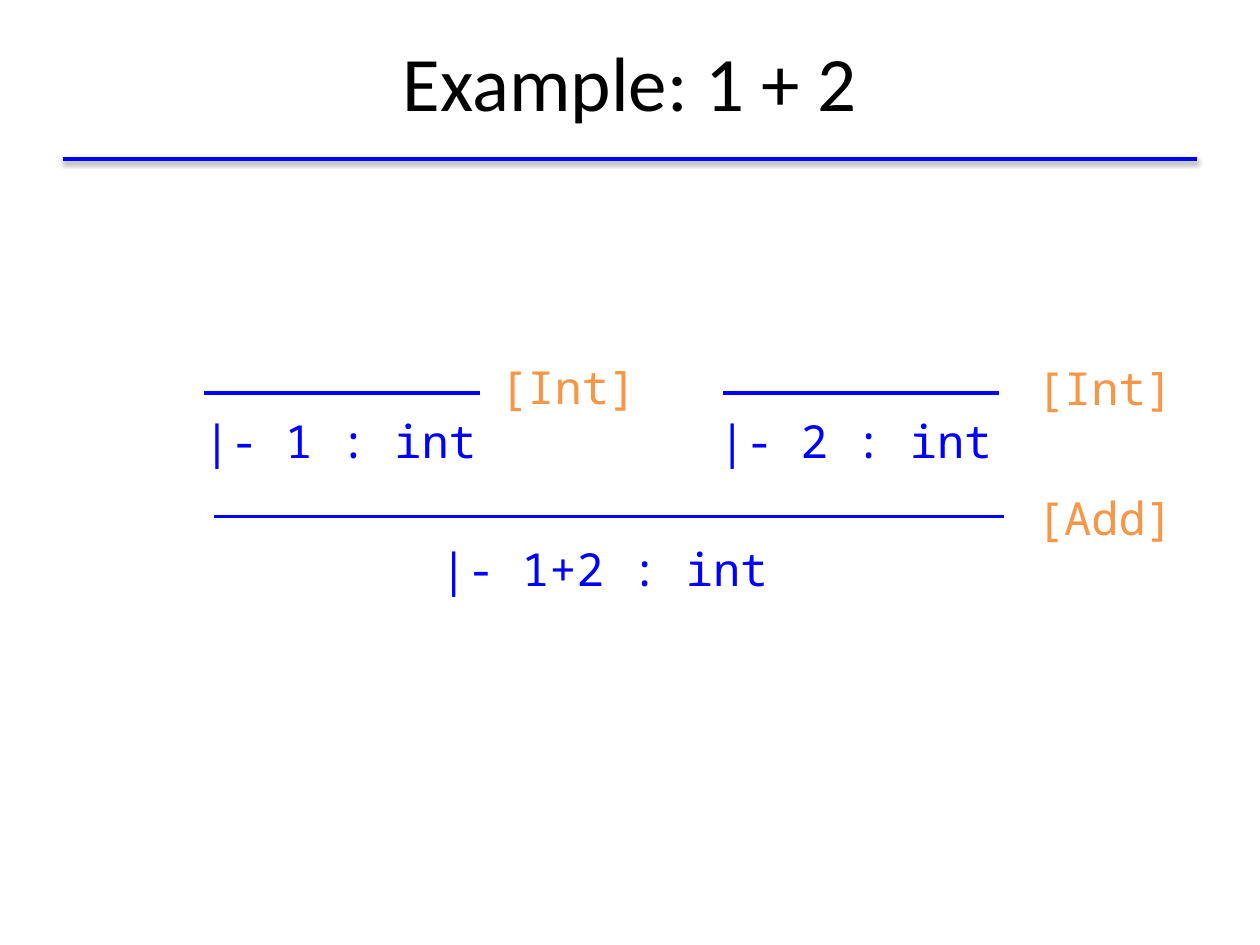
from dataclasses import dataclass

from lxml.etree import SubElement
from pptx import Presentation
from pptx.dml.color import RGBColor
from pptx.enum.shapes import MSO_CONNECTOR as Connector
from pptx.enum.text import MSO_ANCHOR as Anchor, MSO_AUTO_SIZE as AutoSize, PP_ALIGN as Align
from pptx.oxml.ns import qn
from pptx.util import Cm, Pt


@dataclass(frozen=True)
class Theme:
    title_color: str = "000000"
    judgement_color: str = "0000FF"
    rule_color: str = "F79646"
    title_font: str = "Calibri"
    code_font: str = "Noto Sans Mono"
    title_size: int = 44
    code_size: int = 26
    line_width: int = 2
    space_before: int = 6


class ProofSlide:
    def __init__(self, deck, theme):
        self.theme = theme
        self.slide = deck.slides.add_slide(deck.slide_layouts[5])

    def set_text(self, frame, text, font, size, color, align, anchor):
        frame.word_wrap = True
        frame.auto_size = AutoSize.NONE
        frame.vertical_anchor = anchor
        paragraph = frame.paragraphs[0]
        paragraph.alignment = align
        run = paragraph.add_run()
        run.text = text
        run.font.name = font
        run.font.size = Pt(size)
        run.font.color.rgb = RGBColor.from_string(color)
        return paragraph

    def title(self, text, left, top, width, height):
        heading = self.slide.shapes.title
        heading.left, heading.top = Cm(left), Cm(top)
        heading.width, heading.height = Cm(width), Cm(height)
        self.set_text(heading.text_frame, text, self.theme.title_font, self.theme.title_size,
                      self.theme.title_color, Align.CENTER, Anchor.MIDDLE)

    def code(self, text, box, color, align, anchor):
        label = self.slide.shapes.add_textbox(*map(Cm, box))
        paragraph = self.set_text(label.text_frame, text, self.theme.code_font,
                                  self.theme.code_size, color, align, anchor)
        paragraph.space_before = Pt(self.theme.space_before)

    def judgement(self, text, left, top, width, height):
        self.code(text, (left, top, width, height), self.theme.judgement_color,
                  Align.CENTER, Anchor.MIDDLE)

    def rule_name(self, text, left, top, width=3.48, height=1.5):
        self.code(text, (left, top, width, height), self.theme.rule_color,
                  Align.LEFT, Anchor.TOP)

    def bar(self, left, right, y, shadow=False):
        bar = self.slide.shapes.add_connector(Connector.STRAIGHT, Cm(left), Cm(y), Cm(right), Cm(y))
        bar.line.color.rgb = RGBColor.from_string(self.theme.judgement_color)
        bar.line.width = Pt(self.theme.line_width)
        effects = SubElement(bar._element.spPr, qn("a:effectLst"))
        if shadow:
            outer = SubElement(effects, qn("a:outerShdw"), blurRad=str(Pt(3.1)),
                               dist=str(Pt(1.6)), dir="5400000", rotWithShape="0")
            tint = SubElement(outer, qn("a:srgbClr"), val=self.theme.title_color)
            SubElement(tint, qn("a:alpha"), val="38000")


def main():
    deck = Presentation()
    deck.slide_width, deck.slide_height = Cm(25.4), Cm(19.05)
    proof = ProofSlide(deck, Theme())

    proof.bar(1.27, 24.13, 3.2, shadow=True)
    proof.title("Example: 1 + 2", 1.27, 0.03, 22.86, 3.18)

    premises = [("1", 3.45, 4.11), ("2", 13.84, 14.58)]
    for number, text_left, bar_left in premises:
        proof.judgement(f"|- {number} : int", text_left, 7.98, 6.81, 1.78)
        proof.bar(bar_left, bar_left + 5.56, 7.92)
    proof.rule_name("[Int]", 9.83, 7.11, 3.28)
    proof.rule_name("[Int]", 20.65, 7.14)

    proof.bar(4.32, 20.24, 10.41)
    proof.judgement("|- 1+2 : int", 6.81, 10.31, 10.74, 2.31)
    proof.rule_name("[Add]", 20.65, 9.75)

    deck.save("out.pptx")


if __name__ == "__main__":
    main()
